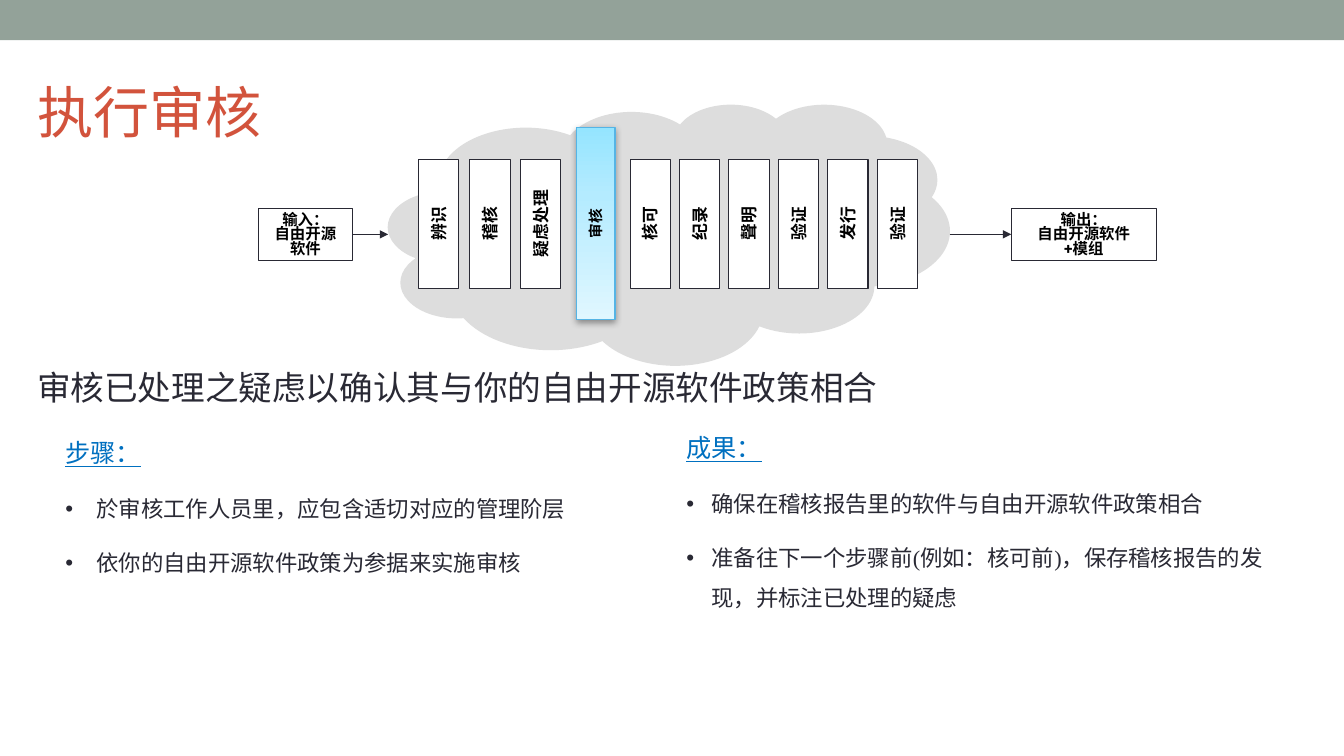
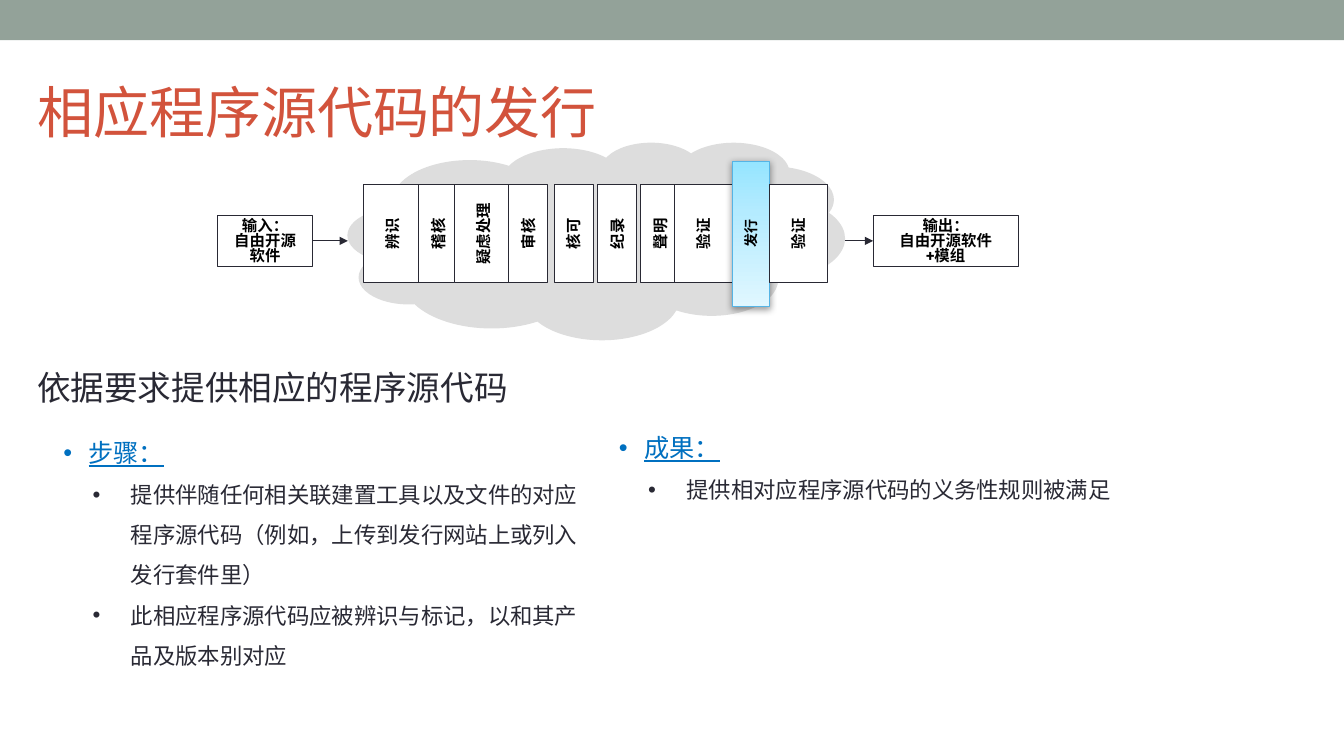
from lxml.etree import SubElement
from pptx import Presentation
from pptx.dml.color import RGBColor
from pptx.enum.lang import MSO_LANGUAGE_ID
from pptx.enum.shapes import MSO_CONNECTOR, MSO_SHAPE
from pptx.enum.text import MSO_ANCHOR, MSO_AUTO_SIZE, PP_ALIGN
from pptx.oxml import parse_xml
from pptx.oxml.ns import nsdecls, qn
from pptx.util import Inches, Pt

INK, RED, BLUE, BLACK = "292934", "D2533C", "0070C0", "000000"
WHITE, SAGE, CLOUD, SKY = "FFFFFF", "93A299", "DDDDDD", "55B4E5"
SANS, SERIF = "Roboto", "Times New Roman"
STAGES = ["辨识", "稽核", "疑虑处理", "审核", "核可",
          "纪录", "聲明", "验证", "发行", "验证"]
INPUT = ["输入：", "自由开源软件"]
OUTPUT = ["输出：", "自由开源软件", "+模组"]

GLOW = f"""<a:gradFill {nsdecls("a")} rotWithShape="1"><a:gsLst>
<a:gs pos="0"><a:srgbClr val="95E5FF"/></a:gs>
<a:gs pos="35000"><a:srgbClr val="B4EBFF"/></a:gs>
<a:gs pos="100000"><a:srgbClr val="E0F7FF"/></a:gs>
</a:gsLst><a:lin ang="5400000" scaled="0"/></a:gradFill>"""
SHADE = f"""<a:effectLst {nsdecls("a")}>
<a:outerShdw blurRad="63500" dist="20320" dir="5400000" rotWithShape="0">
<a:srgbClr val="000000"><a:alpha val="38000"/></a:srgbClr>
</a:outerShdw></a:effectLst>"""


def rgb(code):
    return RGBColor.from_string(code)


def style(para, size, color, face, bold=False, under=False):
    font = para.font
    font.size, font.name, font.bold = Pt(size), face, bold
    font.color.rgb = rgb(color)
    font.underline = under
    font.language_id = MSO_LANGUAGE_ID.SIMPLIFIED_CHINESE


def block(slide, kind, box, fill, edge=None):
    """Add a flat preset shape, outlined only when edge is given."""
    shape = slide.shapes.add_shape(kind, *map(Inches, box))
    shape.shadow.inherit = False
    shape.fill.solid()
    shape.fill.fore_color.rgb = rgb(fill)
    if edge:
        shape.line.color.rgb = rgb(edge)
        shape.line.width = Pt(0.75)
    else:
        shape.line.fill.background()
    return shape


def arrow(slide, start, end):
    line = slide.shapes.add_connector(
        MSO_CONNECTOR.STRAIGHT, *map(Inches, start + end))
    line.line.color.rgb = rgb(INK)
    line.line.width = Pt(0.75)
    SubElement(line.line._get_or_add_ln(), qn("a:tailEnd"), type="triangle")
    SubElement(line._element.spPr, qn("a:effectLst"))
    return line


def bar(slide, box, name, size, lit):
    shape = block(slide, MSO_SHAPE.RECTANGLE, box, WHITE, SKY if lit else INK)
    if lit:
        props = shape._element.spPr
        props.replace(props.find(qn("a:solidFill")), parse_xml(GLOW))
        props.replace(props.find(qn("a:effectLst")), parse_xml(SHADE))
    frame = shape.text_frame
    frame.margin_left = frame.margin_right = 0
    frame.margin_top = frame.margin_bottom = 0
    frame._txBody.bodyPr.set("vert", "vert270")
    frame.text = name
    para = frame.paragraphs[0]
    para.alignment = PP_ALIGN.CENTER
    style(para, size, BLACK, SANS, bold=True)


def port(slide, x, mid, width, lines):
    """Add an input or output box centred on the height mid."""
    tall = 0.51
    shape = block(slide, MSO_SHAPE.RECTANGLE,
                  (x, mid - tall / 2, width, tall), WHITE, INK)
    frame = shape.text_frame
    frame.vertical_anchor = MSO_ANCHOR.TOP
    frame.text = "\n".join(lines)
    for para in frame.paragraphs:
        para.alignment = PP_ALIGN.CENTER
        para.line_spacing = Pt(10.5)
        style(para, 11, BLACK, SANS, bold=True)
    return shape


def flow(slide, box, gap, bars, mid, tall, size, lit):
    """Draw the cloud in box; bars holds (centre, width) from its left edge.

    tall and size give the normal value, then that of the lit bar.
    """
    x, y, w, h = box
    axis = y + h / 2
    block(slide, MSO_SHAPE.CLOUD, box, CLOUD)
    for i, (name, (centre, width)) in enumerate(zip(STAGES, bars)):
        on = i == lit
        high = tall[on]
        area = (x + centre - width / 2, y + mid - high / 2, width, high)
        bar(slide, area, name, size[on], on)
    lead, wide = 0.35, 0.94
    source = port(slide, x - lead - wide, axis, wide, INPUT)
    target = port(slide, x + w + gap, axis, 1.44, OUTPUT)
    arrow(slide, (x - lead, axis), (x, axis)).begin_connect(source, 3)
    arrow(slide, (x + w, axis), (x + w + gap, axis)).end_connect(target, 1)


def bullet(para, left, hang, color):
    props = para._p.get_or_add_pPr()
    props.set("marL", str(Inches(left)))
    props.set("indent", str(-Inches(hang)))
    tint = SubElement(props, qn("a:buClr"))
    SubElement(tint, qn("a:srgbClr"), val=color)
    SubElement(props, qn("a:buFont"), typeface="Arial")
    SubElement(props, qn("a:buChar"), char="•")


def text(slide, box, lines):
    frame = slide.shapes.add_textbox(*map(Inches, box)).text_frame
    frame.word_wrap = True
    frame.text = "\n".join(lines)
    return frame.paragraphs


def panel(slide, box, head, items, face, indent, nested=False):
    """Add a heading with points; nested bullets the heading as well."""
    top, *rest = text(slide, box, [head] + items)
    if nested:
        bullet(top, 0.25, 0.25, BLUE)
    top.line_spacing = 0.9 if nested else 1.5
    style(top, 18, BLUE, face, under=True)
    for para in rest:
        bullet(para, *indent, INK)
        para.line_spacing = 1.5
        para.space_before = Pt(0 if nested else 10)
        style(para, 16, INK, face)


def page(deck, title, lead, face):
    slide = deck.slides.add_slide(deck.slide_layouts[5])
    head = slide.shapes.title
    head.left, head.top, head.width, head.height = map(
        Inches, (0.27, 0.56, 12, 1.08))
    frame = head.text_frame
    frame.text = title
    frame.auto_size = MSO_AUTO_SIZE.NONE
    frame.vertical_anchor = MSO_ANCHOR.MIDDLE
    para = frame.paragraphs[0]
    para.alignment = PP_ALIGN.LEFT
    style(para, 40, RED, face)
    style(text(slide, (0.27, 3.59, 13.06, 0.5), [lead])[0], 24, INK, face)
    return slide


def band(deck, slide):
    """Put the top band on the master, which every slide shares."""
    shape = block(slide, MSO_SHAPE.RECTANGLE, (0, 0, 13.33, 0.4), SAGE)
    deck.slide_master.shapes.element.insert(2, shape._element)


def review(deck):
    slide = page(deck, "执行审核",
                 "审核已处理之疑虑以确认其与你的自由开源软件政策相合", SERIF)
    bars = [(0.5, 0.4), (1.01, 0.4), (1.51, 0.4), (2.06, 0.38)]
    bars += [(2.6 + 0.49 * i, 0.4) for i in range(6)]
    flow(slide, (3.85, 1.03, 5.57, 2.59), 0.61, bars, mid=1.19,
         tall=(1.28, 1.91), size=(12, 10.5), lit=3)
    panel(slide, (0.55, 4.14, 5.86, 3.03), "步骤：",
          ["於审核工作人员里，应包含适切对应的管理阶层",
           "依你的自由开源软件政策为参据来实施审核"], SERIF, (0.31, 0.31))
    panel(slide, (6.71, 4.09, 5.94, 3.1), "成果：",
          ["确保在稽核报告里的软件与自由开源软件政策相合",
           "准备往下一个步骤前(例如：核可前)，保存稽核报告的发现，并标注已处理的疑虑"],
          SERIF, (0.25, 0.25))
    return slide


def release(deck):
    slide = page(deck, "相应程序源代码的发行", "依据要求提供相应的程序源代码", SANS)
    slim, wide = 0.39, 0.57
    bars = [(0.44, wide), (0.9, slim), (1.34, wide), (1.79, slim),
            (2.24, slim), (2.67, slim), (3.1, slim), (3.53, wide),
            (4, 0.37), (4.47, wide)]
    flow(slide, (3.45, 1.41, 4.93, 1.96), 0.28, bars, mid=0.91,
         tall=(0.97, 1.44), size=(11, 10), lit=8)
    panel(slide, (0.53, 4.32, 5.4, 3.03), "步骤：",
          ["提供伴随任何相关联建置工具以及文件的对应程序源代码"
           "（例如，上传到发行网站上或列入发行套件里）",
           "此相应程序源代码应被辨识与标记，以和其产品及版本别对应"],
          SANS, (0.67, 0.38), nested=True)
    panel(slide, (6.04, 4.27, 6.61, 2.52), "成果：",
          ["提供相对应程序源代码的义务性规则被满足"],
          SANS, (0.67, 0.38), nested=True)


def main():
    deck = Presentation()
    deck.slide_width, deck.slide_height = Inches(13.33), Inches(7.5)
    band(deck, review(deck))
    release(deck)
    deck.save("out.pptx")


if __name__ == "__main__":
    main()
